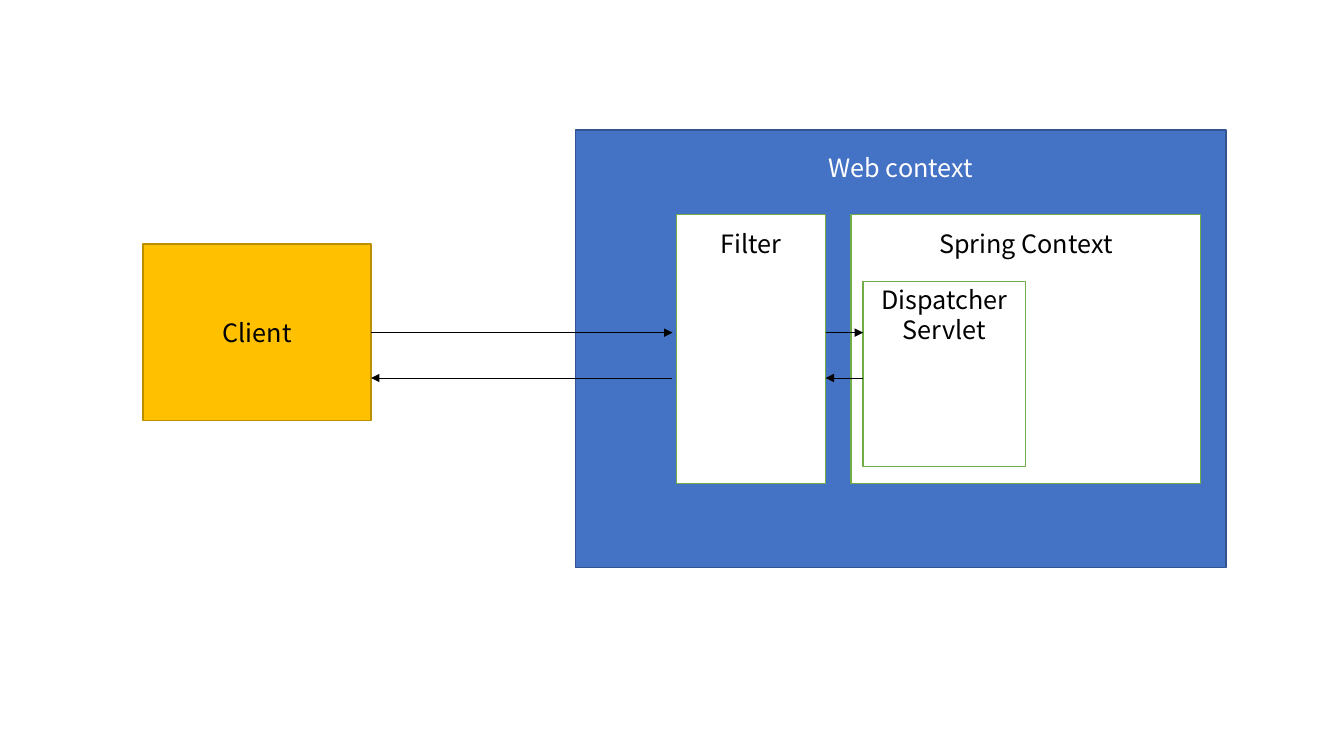
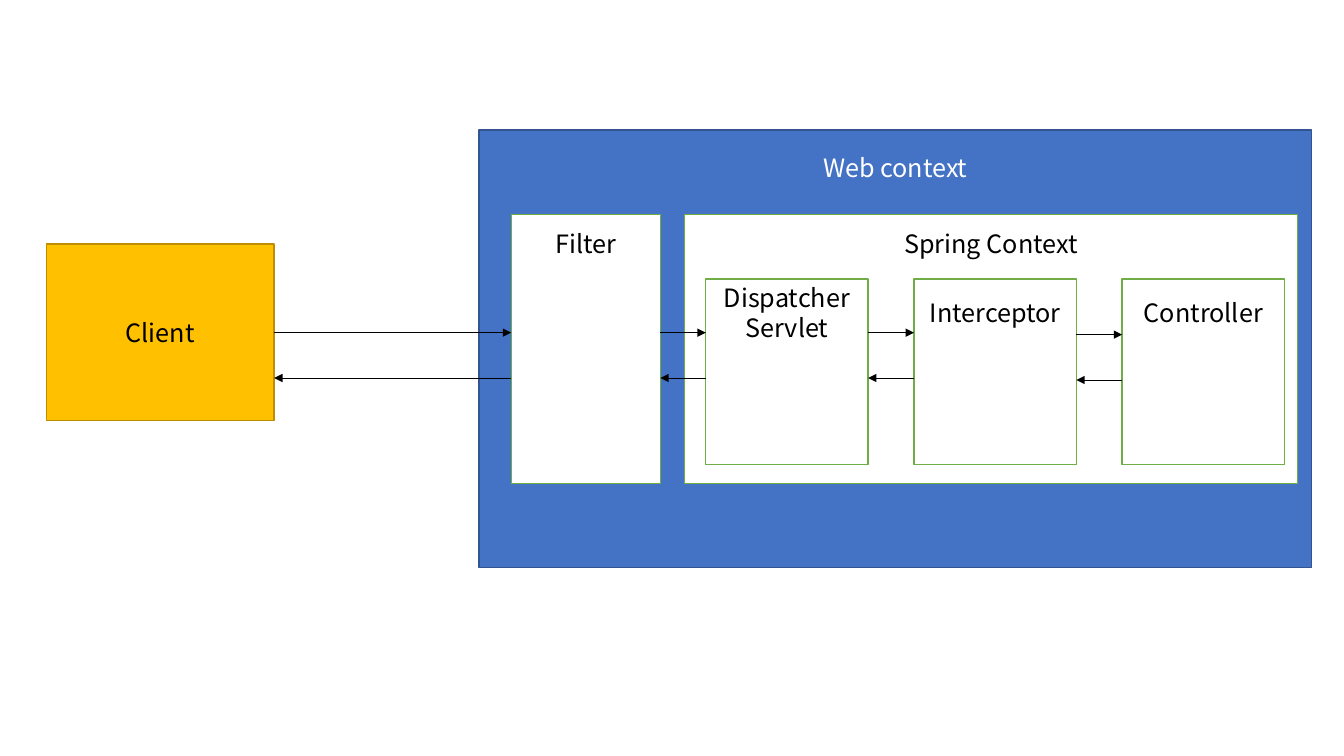
"""Build two slides on how a request travels through a web context."""
from lxml import etree
from pptx import Presentation
from pptx.dml.color import RGBColor
from pptx.enum.shapes import MSO_CONNECTOR, MSO_SHAPE
from pptx.enum.text import MSO_ANCHOR, PP_ALIGN
from pptx.oxml.ns import qn
from pptx.util import Inches, Pt

RECTANGLE = MSO_SHAPE.RECTANGLE
STRAIGHT = MSO_CONNECTOR.STRAIGHT
CENTER = PP_ALIGN.CENTER
TOP, MIDDLE = MSO_ANCHOR.TOP, MSO_ANCHOR.MIDDLE

WHITE = RGBColor(0xFF, 0xFF, 0xFF)
BLACK = RGBColor(0x00, 0x00, 0x00)
AMBER = RGBColor(0xFF, 0xC0, 0x00)
DARK_AMBER = RGBColor(0xBD, 0x8E, 0x00)
BLUE = RGBColor(0x44, 0x72, 0xC4)
DARK_BLUE = RGBColor(0x32, 0x54, 0x91)
GREEN = RGBColor(0x70, 0xAD, 0x47)

FONT = "Noto Sans CJK KR"
LINE_HEIGHT = Pt(21.5)
CLIENT_WIDTH = 2.26
FILTER_WIDTH = 1.48
COMPONENT_WIDTH = 1.61
COMPONENT_PITCH = 2.065
REQUEST_Y, RESPONSE_Y = 3.3, 3.75


def add_box(slide, label, bounds, fill=WHITE, outline=GREEN, color=BLACK, inset=None):
    """Add a labelled rectangle, its label centred or `inset` below the top."""
    box = slide.shapes.add_shape(RECTANGLE, *map(Inches, bounds))
    box.shadow.inherit = False
    box.fill.solid()
    box.fill.fore_color.rgb = fill
    box.line.color.rgb = outline
    box.line.width = Pt(1)
    frame = box.text_frame
    frame.word_wrap = True
    frame.text = label
    frame.vertical_anchor = MIDDLE
    if inset is not None:
        frame.vertical_anchor = TOP
        frame.margin_top = Inches(inset)
    for paragraph in frame.paragraphs:
        paragraph.alignment = CENTER
        if inset is not None:
            paragraph.line_spacing = LINE_HEIGHT
        for run in paragraph.runs:
            run.font.name = FONT
            run.font.size = Pt(18)
            run.font.color.rgb = color


def add_arrow(slide, start, end, y):
    """Add a thin horizontal arrow pointing at `end`."""
    arrow = slide.shapes.add_connector(
        STRAIGHT, Inches(start), Inches(y), Inches(end), Inches(y))
    arrow.line.color.rgb = BLACK
    arrow.line.width = Pt(0.5)
    etree.SubElement(arrow.line._get_or_add_ln(), qn("a:tailEnd"), type="triangle")
    etree.SubElement(arrow._element.spPr, qn("a:effectLst"))


def add_exchange(slide, left, right, drop=0):
    """Add a request arrow and the response arrow below it."""
    add_arrow(slide, left, right, REQUEST_Y + drop)
    add_arrow(slide, right, left, RESPONSE_Y + drop)


def add_component(slide, label, left, top, inset):
    """Add one component of the Spring context."""
    add_box(slide, label, (left, top, COMPONENT_WIDTH, 1.84), inset=inset)


def add_contexts(slide, client_left, web, spring, filter_left):
    """Add the client and the nested contexts; web and spring are (left, width)."""
    add_box(slide, "Client", (client_left, 2.42, CLIENT_WIDTH, 1.75), AMBER, DARK_AMBER)
    add_box(slide, "Web context", (web[0], 1.29, web[1], 4.34),
            BLUE, DARK_BLUE, WHITE, inset=0.22)
    add_box(slide, "Spring Context", (spring[0], 2.13, spring[1], 2.67), inset=0.14)
    add_box(slide, "Filter", (filter_left, 2.13, FILTER_WIDTH, 2.67), inset=0.14)


def build_servlet_slide(slide):
    """Show the path from the client to the dispatcher servlet."""
    add_contexts(slide, 1.42, (5.71, 6.45), (8.44, 3.47), 6.71)
    add_component(slide, "Dispatcher\nServlet", 8.56, 2.79, 0.03)
    add_exchange(slide, 1.42 + CLIENT_WIDTH, 6.67)
    add_exchange(slide, 6.71 + FILTER_WIDTH, 8.56)


def build_controller_slide(slide):
    """Show the path from the client on to the controller."""
    client_left, filter_left, first_left = 0.46, 5.07, 7
    add_contexts(slide, client_left, (4.75, 8.26), (6.79, 6.08), filter_left)
    components = (("Dispatcher\nServlet", 0.03, 0), ("Interceptor", 0.18, 0),
                  ("Controller", 0.18, 0.02))
    add_exchange(slide, client_left + CLIENT_WIDTH, filter_left)
    sender_edge = filter_left + FILTER_WIDTH
    for index, (label, inset, drop) in enumerate(components):
        left = first_left + index * COMPONENT_PITCH
        add_component(slide, label, left, 2.77, inset)
        add_exchange(slide, sender_edge, left, drop)
        sender_edge = left + COMPONENT_WIDTH


def main():
    """Build and save the presentation."""
    deck = Presentation()
    deck.slide_width, deck.slide_height = Inches(13.33), Inches(7.5)
    blank = deck.slide_layouts[6]
    for build in (build_servlet_slide, build_controller_slide):
        build(deck.slides.add_slide(blank))
    deck.save("out.pptx")


main()
